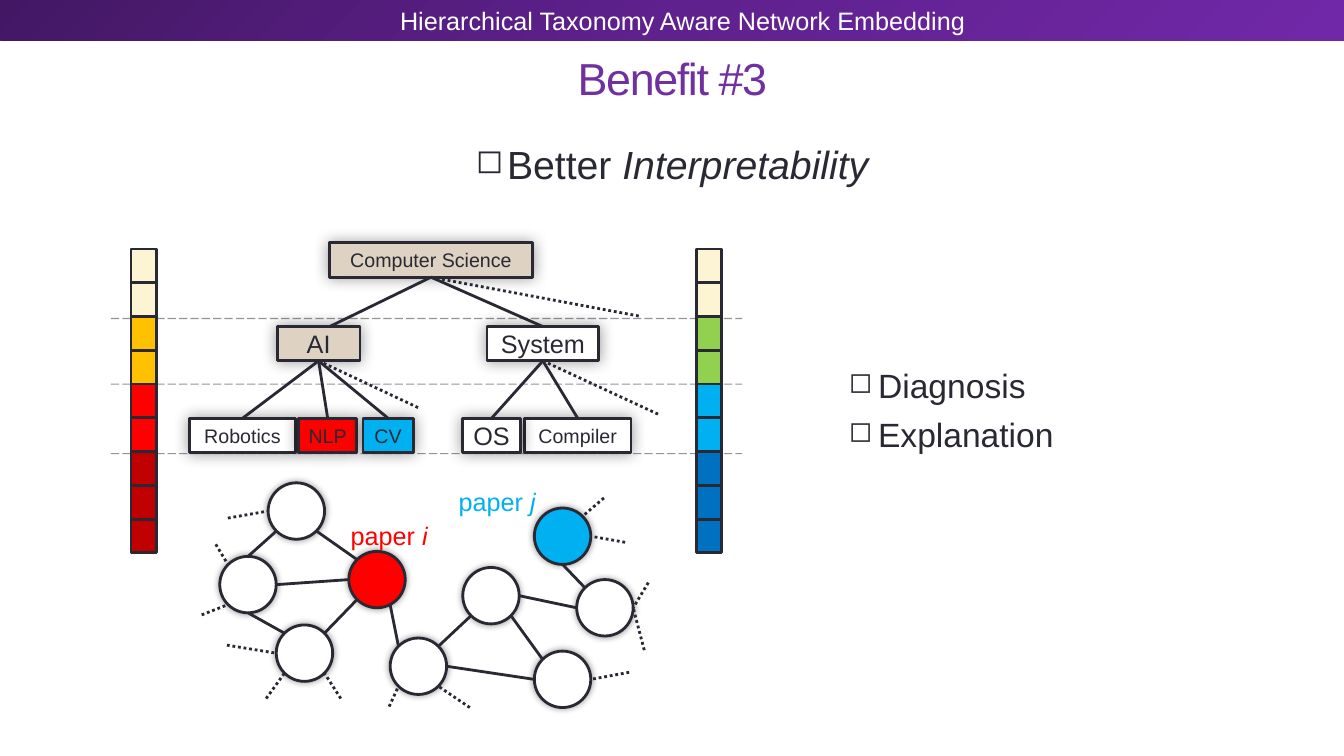
import math

import pptx
import pptx.dml.color
import pptx.enum.dml
import pptx.enum.shapes
import pptx.enum.text
import pptx.oxml
import pptx.oxml.ns
import pptx.util

Inches = pptx.util.Inches
Pt = pptx.util.Pt
KIND = pptx.enum.shapes.MSO_SHAPE
DASH = pptx.enum.dml.MSO_LINE
ALIGN = pptx.enum.text.PP_ALIGN
ANCHOR = pptx.enum.text.MSO_ANCHOR
HEX = {
    "ink": "292934", "white": "FFFFFF", "purple": "7030A0", "cream": "FDF4D3",
    "gold": "FFC000", "red": "FF0000", "wine": "C00000", "green": "92D050",
    "sky": "00B0F0", "blue": "0070C0", "tan": "DED2C2",
    "deep": "431764", "mid": "5F218E", "lit": "7128A8",
}


def xml(tag, attrs="", inner=""):
    space = pptx.oxml.ns.nsdecls("a")
    return pptx.oxml.parse_xml(f"<a:{tag} {space} {attrs}>{inner}</a:{tag}>")


def rgb(name):
    return pptx.dml.color.RGBColor.from_string(HEX[name])


class Deck:
    """Holds the style and the current slide."""

    font = "Arial"
    stroke = 2

    def __init__(self):
        self.file = pptx.Presentation()
        self.file.slide_width = Inches(13.33)
        self.file.slide_height = Inches(7.5)
        self.slide = self.file.slides.add_slide(self.file.slide_layouts[6])

    def fill_in(self, para, runs, size, color, align=ALIGN.LEFT):
        para.alignment = align
        for words, slant in runs:
            run = para.add_run()
            run.text = words
            font = run.font
            font.name, font.size = self.font, Pt(size)
            font.italic = slant
            font.color.rgb = rgb(color)

    def text(self, box, lines, size, color, align=ALIGN.LEFT, anchor=ANCHOR.TOP,
             wrap=True, bullet=0):
        """Add a text box; bullet is the hanging indent in inches."""
        shape = self.slide.shapes.add_textbox(*map(Inches, box))
        frame = shape.text_frame
        frame.word_wrap, frame.vertical_anchor = wrap, anchor
        for n, runs in enumerate(lines):
            para = frame.add_paragraph() if n else frame.paragraphs[0]
            if n:
                para.space_before = Pt(6)
            if bullet:
                props = para._p.get_or_add_pPr()
                props.set("marL", str(Inches(bullet)))
                props.set("indent", str(-Inches(bullet)))
                props.append(xml("buClr", "", f'<a:srgbClr val="{HEX["ink"]}"/>'))
                props.append(xml("buSzPct", 'val="85000"'))
                props.append(xml("buChar", 'char="◻"'))
            self.fill_in(para, runs, size, color, align)
        return shape

    def shape(self, kind, box, fill, glow=0, label="", size=14):
        item = self.slide.shapes.add_shape(kind, *map(Inches, box))
        item.shadow.inherit = False
        item.fill.solid()
        item.fill.fore_color.rgb = rgb(fill)
        item.line.color.rgb = rgb("ink")
        item.line.width = Pt(self.stroke)
        if glow:
            tint = '<a:srgbClr val="000000"><a:alpha val="40000"/></a:srgbClr>'
            item._element.spPr.find(pptx.oxml.ns.qn("a:effectLst")).append(
                xml("outerShdw", f'blurRad="{Pt(glow)}" dist="0" dir="0" rotWithShape="0"', tint))
        if label:
            frame = item.text_frame
            frame.word_wrap, frame.vertical_anchor = False, ANCHOR.MIDDLE
            frame.margin_left = frame.margin_right = 0
            frame.margin_top = frame.margin_bottom = 0
            self.fill_in(frame.paragraphs[0], [(label, False)], size, "ink", ALIGN.CENTER)
        return item

    def band(self, box, stops):
        item = self.shape(KIND.RECTANGLE, box, stops[0])
        item.line.fill.background()
        marks = "".join(
            f'<a:gs pos="{n * 50000}"><a:srgbClr val="{HEX[stop]}"/></a:gs>'
            for n, stop in enumerate(stops))
        props = item._element.spPr
        solid = props.find(pptx.oxml.ns.qn("a:solidFill"))
        props.replace(solid, xml("gradFill", 'rotWithShape="1"',
                                 f'<a:gsLst>{marks}</a:gsLst><a:lin ang="2700000" scaled="0"/>'))

    def line(self, start, end, dash=None, width=stroke, alpha=100):
        item = self.slide.shapes.add_connector(
            pptx.enum.shapes.MSO_CONNECTOR.STRAIGHT, *map(Inches, (*start, *end)))
        item.line.color.rgb = rgb("ink")
        item.line.width = Pt(width)
        if dash:
            item.line.dash_style = dash
        props = item._element.spPr
        if alpha < 100:
            props.xpath(".//a:srgbClr")[0].append(xml("alpha", f'val="{alpha * 1000}"'))
        props.append(xml("effectLst"))


def main():
    deck = Deck()

    # Header, title and bullets
    deck.band((0, 0, 13.33, 0.4), ("deep", "mid", "lit"))
    title = deck.text((0.37, 0.52, 12.6, 0.5), [[("Benefit #3", False)]], 32, "purple",
                      ALIGN.CENTER, ANCHOR.MIDDLE)
    title.text_frame.paragraphs[0].runs[0]._r.get_or_add_rPr().set("spc", "-100")
    deck.text((1.94, 1.34, 9.45, 0.66), [[("Better ", False), ("Interpretability", True)]],
              28, "ink", ALIGN.CENTER, bullet=0.31)
    deck.text((8.32, 3.57, 4.61, 1.05), [[("Diagnosis", False)], [("Explanation", False)]],
              24, "ink", bullet=0.29)
    deck.text((3.67, 0.02, 6, 0.36),
              [[("Hierarchical Taxonomy Aware Network Embedding", False)]],
              18, "white", ALIGN.RIGHT, ANCHOR.MIDDLE)

    # Level lines
    for y in (3.16, 3.81, 4.5):
        deck.line((1.1, y), (7.36, y), DASH.LONG_DASH, 0.75, 50)

    # Embedding vectors: two, two, two and three cells per level
    step = 0.335
    for left, hues in ((1.3, ("cream", "gold", "red", "wine")),
                       (6.91, ("cream", "green", "sky", "blue"))):
        cells = [hue for hue, count in zip(hues, (2, 2, 2, 3)) for _ in range(count)]
        for n, hue in enumerate(cells):
            deck.shape(KIND.RECTANGLE, (left, 2.47 + n * step, 0.25, step), hue)

    # Paper network
    size = 0.56
    nodes = {
        "a": (2.18, 5.52), "b": (2.74, 6.2), "c": (2.66, 4.79), "i": (3.46, 5.47),
        "d": (3.87, 6.33), "e": (4.59, 5.63), "j": (5.3, 5.04), "f": (5.3, 6.46),
        "g": (5.72, 5.75),
    }
    for name, spot in nodes.items():
        hue = {"i": "red", "j": "sky"}.get(name, "white")
        deck.shape(KIND.FLOWCHART_CONNECTOR, (*spot, size, size), hue, glow=5)

    def site(mark):
        """Point on a node's rim: 0 is the top, then each 45 degrees to the left."""
        x, y = nodes[mark[0]]
        turn = math.radians(45 * int(mark[1]))
        half = size / 2
        return x + half - half * math.sin(turn), y + half - half * math.cos(turn)

    for pair in ("c5 i1", "a6 i2", "b7 i3", "e3 d7", "c3 a0", "b1 a4",
                 "f1 e5", "g1 j4", "g2 e6", "f2 d6"):
        deck.line(*map(site, pair.split()))
    deck.line((3.87, 6), site("d1"))

    stubs = [
        ("g6", 6.43, 5.78), ("g6", 6.39, 6.45), ("f6", 6.24, 6.67), ("j6", 6.2, 5.38),
        ("j7", 5.99, 4.94), ("b3", 2.64, 6.93), ("d3", 3.86, 7.01), ("b5", 3.38, 6.93),
        ("a3", 2, 6.1), ("b2", 2.25, 6.4), ("c2", 2.26, 5.14), ("a1", 2.14, 5.4),
        ("d5", 4.66, 7.02),
    ]
    for mark, x, y in stubs:
        deck.line((x, y), site(mark), DASH.ROUND_DOT)

    for x, y, sign, hue in ((3.38, 5.11, "i", "red"), (4.45, 4.78, "j", "sky")):
        deck.text((x, y, 0.97, 0.4), [[("paper ", False), (sign, True)]], 18, hue, wrap=False)

    # Taxonomy tree: left, top, width, fill, text size
    high = 0.34
    topics = {
        "Computer Science": (3.27, 2.41, 2.01, "tan", 14),
        "AI": (2.75, 3.24, 0.82, "tan", 18),
        "System": (4.83, 3.24, 1.11, "white", 18),
        "Robotics": (1.88, 4.15, 1.05, "white", 14),
        "NLP": (2.96, 4.15, 0.58, "red", 14),
        "CV": (3.6, 4.15, 0.5, "sky", 14),
        "Compiler": (5.2, 4.15, 1.06, "white", 14),
        "OS": (4.59, 4.15, 0.57, "white", 18),
    }
    for name, (x, y, wide, hue, points) in topics.items():
        deck.shape(KIND.RECTANGLE, (x, y, wide, high), hue, 11, name, points)

    tree = {
        "Computer Science": (("AI", "System"), (6.36, 3.14)),
        "AI": (("Robotics", "NLP", "CV"), (4.16, 4.05)),
        "System": (("OS", "Compiler"), (6.55, 4.12)),
    }
    for name, (kids, more) in tree.items():
        x, y, wide = topics[name][:3]
        root = (x + wide / 2, y + high)
        for kid in kids:
            x, y, wide = topics[kid][:3]
            shift = 0.11 if kid == "AI" else 0
            deck.line(root, (x + wide / 2 + shift, y))
        deck.line(root, more, DASH.ROUND_DOT)

    deck.file.save("out.pptx")


if __name__ == "__main__":
    main()
